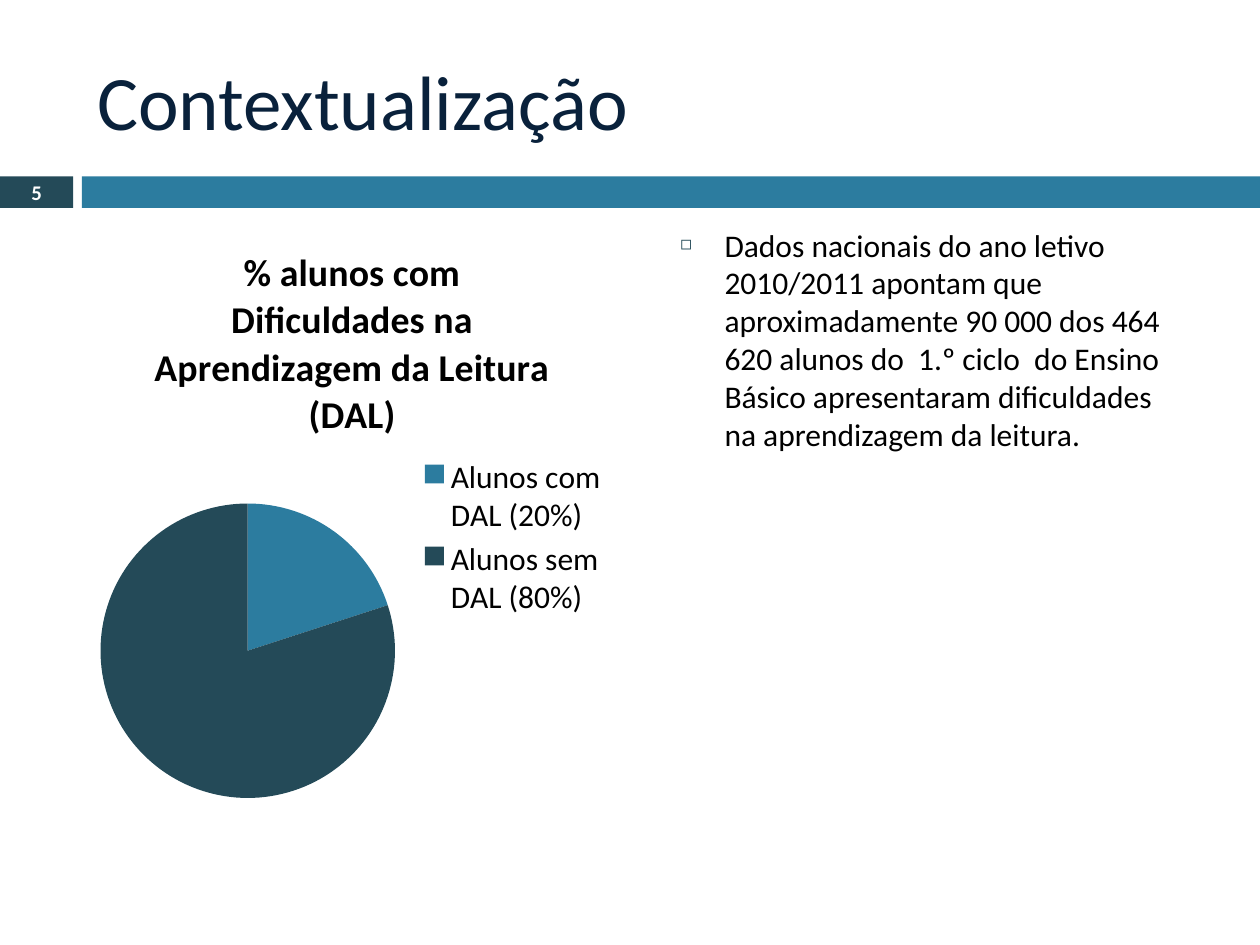
from lxml import etree
from pptx import Presentation
from pptx import util as u
from pptx.chart.data import CategoryChartData
from pptx.dml.color import RGBColor
from pptx.enum import chart as ch, shapes, text
from pptx.oxml.ns import qn

COLORS = {"dark": "244A58", "teal": "2C7C9F", "navy": "09213B",
          "black": "000000", "white": "FFFFFF"}
CHART_TITLE = "% alunos com Dificuldades na Aprendizagem da Leitura (DAL)"
BODY = ("Dados nacionais do ano letivo 2010/2011 apontam que aproximadamente "
        "90 000 dos 464 620 alunos do  1.º ciclo  do Ensino  Básico "
        "apresentaram dificuldades na aprendizagem da leitura.")


class Deck:
    font = "Calibri"

    def __init__(self, prs):
        self.s = prs.slides.add_slide(prs.slide_layouts[1])

    def rgb(self, name):
        return RGBColor.from_string(COLORS[name])

    def style(self, font, size, color, bold=False):
        values = {"name": self.font, "size": u.Pt(size), "bold": bold}
        for key, value in values.items():
            setattr(font, key, value)
        font.color.rgb = self.rgb(color)

    def place(self, sp, box):
        for key, value in zip(("left", "top", "width", "height"), box):
            setattr(sp, key, u.Inches(value))

    def label(self, sp, words, size, color, bold=False,
              align=text.PP_ALIGN.LEFT, anchor=text.MSO_ANCHOR.MIDDLE):
        tf = sp.text_frame
        values = {"word_wrap": True, "vertical_anchor": anchor,
                  "auto_size": text.MSO_AUTO_SIZE.NONE}
        for key, value in values.items():
            setattr(tf, key, value)
        p = tf.paragraphs[0]
        p.alignment = align
        r = p.add_run()
        r.text = words
        self.style(r.font, size, color, bold)
        return p

    def bar(self, box, color):
        sp = self.s.shapes.add_shape(shapes.MSO_SHAPE.RECTANGLE,
                                     *map(u.Inches, box))
        sp.shadow.inherit = False
        sp.fill.solid()
        sp.fill.fore_color.rgb = self.rgb(color)
        sp.line.fill.background()

    def title(self, box, words):
        sp = self.s.shapes.title
        self.place(sp, box)
        self.label(sp, words, 44, "navy")

    def bullet(self, box, words):
        sp = self.s.placeholders[1]
        self.place(sp, box)
        p = self.label(sp, words, 18, "black", anchor=text.MSO_ANCHOR.TOP)
        p.space_before = u.Pt(7)
        pPr = p._p.get_or_add_pPr()
        indent = u.Inches(0.35)
        pPr.set("marL", str(indent))
        pPr.set("indent", str(-indent))
        buClr = etree.SubElement(pPr, qn("a:buClr"))
        etree.SubElement(buClr, qn("a:srgbClr"), val=COLORS["dark"])
        etree.SubElement(pPr, qn("a:buSzPct"), val="60000")
        etree.SubElement(pPr, qn("a:buChar"), char="◻")

    def number(self, box, words):
        sp = self.s.shapes.add_textbox(*map(u.Inches, box))
        self.label(sp, words, 11.9, "white", True, text.PP_ALIGN.CENTER)

    def layout(self, parent, index, box, inner=False):
        for old in parent.findall(qn("c:layout")):
            parent.remove(old)
        layout = etree.Element(qn("c:layout"))
        parent.insert(index, layout)
        manual = etree.SubElement(layout, qn("c:manualLayout"))
        if inner:
            etree.SubElement(manual, qn("c:layoutTarget"), val="inner")
        for key in ("xMode", "yMode"):
            etree.SubElement(manual, qn(f"c:{key}"), val="edge")
        for key, value in zip("xywh", box):
            etree.SubElement(manual, qn(f"c:{key}"), val=str(value))

    def pie(self, box, title, values, colors):
        data = CategoryChartData()
        data.categories = list(values)
        data.add_series(title, list(values.values()))
        chart = self.s.shapes.add_chart(ch.XL_CHART_TYPE.PIE,
                                        *map(u.Inches, box), data).chart
        self.style(chart.font, 18, "black")
        chart.has_title = True
        tf = chart.chart_title.text_frame
        tf.text = title
        self.style(tf.paragraphs[0].runs[0].font, 21.6, "black", True)
        chart.has_legend = True
        legend = chart.legend
        legend.position = ch.XL_LEGEND_POSITION.RIGHT
        legend.include_in_layout = False
        self.style(legend.font, 18, "black")
        plot = chart.plots[0]
        plot.vary_by_categories = True
        for i, color in enumerate(colors):
            fill = plot.series[0].points[i].format.fill
            fill.solid()
            fill.fore_color.rgb = self.rgb(color)
        area = chart.element.find(".//" + qn("c:plotArea"))
        self.layout(area, 0, (0.03, 0.45, 0.55, 0.47), inner=True)
        key = chart.element.find(".//" + qn("c:legend"))
        self.layout(key, 1, (0.62, 0.37, 0.36, 0.27))


def main():
    prs = Presentation()
    prs.slide_width, prs.slide_height = u.Inches(10), u.Inches(7.5)
    deck = Deck(prs)
    deck.bar((0, 1.4, 0.58, 0.25), "dark")
    deck.bar((0.65, 1.4, 9.35, 0.25), "teal")
    deck.title((0.67, 0.25, 8.92, 1.08), "Contextualização")
    deck.pie((0.67, 1.74, 4.25, 5), CHART_TITLE,
             {"Alunos com DAL (20%)": 20, "Alunos sem DAL (80%)": 80},
             ("teal", "dark"))
    deck.bullet((5.3, 1.74, 4.06, 5), BODY)
    deck.number((0, 1.39, 0.58, 0.27), "5")
    prs.save("out.pptx")


if __name__ == "__main__":
    main()
